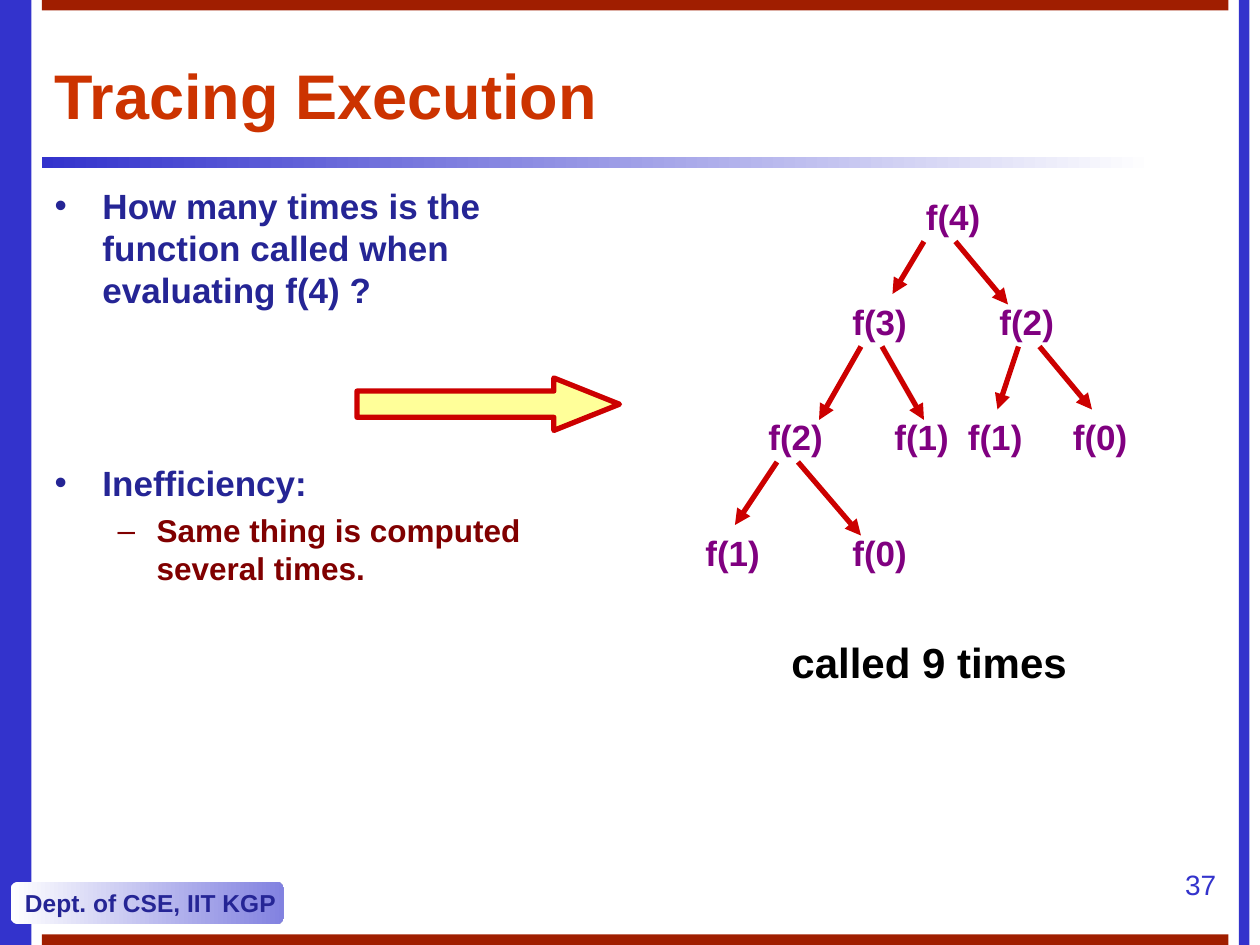
from lxml import etree
from pptx import Presentation
from pptx import util as u
from pptx.dml.color import RGBColor
from pptx.enum import shapes as sh, text as tx
from pptx.oxml.ns import qn

COLS, ROWS = 120, 90
CELL = u.Inches(10) / COLS
NAVY, BLUE, RUST, RED = "252595", "3333CC", "A01E00", "CC0000"
PURPLE, MAROON = "800080", "800000"

# A call is (name, column, row, branches); a branch is
# (start column, end column, end row, call): start in the caller, end in the callee.
CALLS = ("f(4)", 21, 0, [
    (1, 5, 0, ("f(3)", 14, 10, [
        (2, 6, 1, ("f(2)", 6, 21, [
            (2, 4, 0, ("f(1)", 0, 32, [])),
            (4, 2, 1, ("f(0)", 14, 32, []))])),
        (4, 4, 1, ("f(1)", 18, 21, []))])),
    (4, 2, 1, ("f(2)", 28, 10, [
        (3, 4, 0, ("f(1)", 25, 21, [])),
        (5, 3, 0, ("f(0)", 35, 21, []))])),
])


def rgb(code):
    return RGBColor.from_string(code)


def grid(*cells):
    """Turn grid columns and rows into lengths."""
    return [u.Emu(round(c * CELL)) for c in cells]


def write(para, words, size, color, bold=True):
    run = para.add_run()
    run.text = words
    font = run.font
    font.name, font.size, font.bold = "Arial", u.Pt(size), bold
    font.color.rgb = rgb(color)


def label(slide, box, words, size, color, bold=True, align=None):
    frame = slide.shapes.add_textbox(*grid(*box)).text_frame
    frame.word_wrap = True
    para = frame.paragraphs[0]
    para.alignment = align
    write(para, words, size, color, bold)


def block(slide, box, *colors, kind=sh.MSO_SHAPE.RECTANGLE):
    """Add a borderless shape; two colours make a left-to-right gradient."""
    shape = slide.shapes.add_shape(kind, *grid(*box))
    shape.shadow.inherit = False
    shape.line.fill.background()
    if len(colors) == 1:
        shape.fill.solid()
        shape.fill.fore_color.rgb = rgb(colors[0])
    else:
        shape.fill.gradient()
        shape.fill.gradient_angle = 0
        for stop, color in zip(shape.fill.gradient_stops, colors):
            stop.color.rgb = rgb(color)
    return shape


def border(slide, box):
    left, top, wide, high = box
    block(slide, (left, top, 3, high), BLUE)
    block(slide, (left + wide - 2, top, 1, high), BLUE)
    for row in (top, top + high - 1):
        block(slide, (left + 4, row, wide - 7, 1), RUST)
    block(slide, (left + 4, top + 15, 106, 1), BLUE, "FFFFFF")


def badge(slide, box):
    shape = block(slide, box, "FFFFFF", "8282E0",
                  kind=sh.MSO_SHAPE.ROUNDED_RECTANGLE)
    shape.adjustments[0] = 0.167
    frame = shape.text_frame
    frame.word_wrap = False
    frame.vertical_anchor = tx.MSO_ANCHOR.MIDDLE
    para = frame.paragraphs[0]
    para.alignment = tx.PP_ALIGN.LEFT
    write(para, "Dept. of CSE, IIT KGP", 14, NAVY)


def settle(holder, box, anchor):
    """Move a placeholder to its box and return its text frame."""
    holder.left, holder.top, holder.width, holder.height = grid(*box)
    frame = holder.text_frame
    frame.auto_size = tx.MSO_AUTO_SIZE.NONE
    frame.vertical_anchor = anchor
    return frame


def title(slide, box):
    para = settle(slide.shapes.title, box, tx.MSO_ANCHOR.MIDDLE).paragraphs[0]
    para.alignment = tx.PP_ALIGN.LEFT
    write(para, "Tracing Execution", 36, "CC3300")


def bullet(para, mark, color, left, hang):
    props = para._p.get_or_add_pPr()
    props.set("marL", str(u.Inches(left)))
    props.set("indent", str(-u.Inches(hang)))
    tint = etree.SubElement(props, qn("a:buClr"))
    etree.SubElement(tint, qn("a:srgbClr"), val=color)
    etree.SubElement(props, qn("a:buFont"), typeface="Arial")
    etree.SubElement(props, qn("a:buChar"), char=mark)


def points(slide, box):
    frame = settle(slide.placeholders[1], box, tx.MSO_ANCHOR.TOP)
    items = [
        (0, 0, "How many times is the function called when evaluating f(4) ?"),
        (0, 86, "Inefficiency:"),
        (1, 4.5, "Same thing is computed several times."),
    ]
    looks = [("•", NAVY, 0.38, 0.38, 20), ("–", MAROON, 0.81, 0.31, 18)]
    for i, (level, gap, words) in enumerate(items):
        para = frame.add_paragraph() if i else frame.paragraphs[0]
        mark, color, left, hang, size = looks[level]
        para.level = level
        para.space_before = u.Pt(gap)
        bullet(para, mark, color, left, hang)
        write(para, words, size, color)


def arrow(slide, start, end):
    link = slide.shapes.add_connector(
        sh.MSO_CONNECTOR.STRAIGHT, *grid(*start, *end))
    link.line.color.rgb = rgb(RED)
    link.line.width = u.Pt(3)
    etree.SubElement(link.line._get_or_add_ln(), qn("a:tailEnd"), type="triangle")
    etree.SubElement(link._element.spPr, qn("a:effectLst"))


def tree(slide, left, top, call):
    """Draw a call and, below it, the calls it makes."""
    name, col, row, kids = call
    x, y = left + col, top + row
    label(slide, (x, y, 9, 5.25), name, 20, PURPLE)
    for start, end, drop, kid in kids:
        arrow(slide, (x + start, y + 5),
              (left + kid[1] + end, top + kid[2] + drop))
        tree(slide, left, top, kid)


def pointer(slide, box):
    shape = block(slide, box, "FFFF99", kind=sh.MSO_SHAPE.RIGHT_ARROW)
    shape.adjustments[0], shape.adjustments[1] = 0.5, 1.25
    shape.line.color.rgb = rgb(RED)
    shape.line.width = u.Pt(3)


def main():
    deck = Presentation()
    deck.slide_width, deck.slide_height = grid(COLS, ROWS)
    slide = deck.slides.add_slide(deck.slide_layouts[1])
    border(slide, (0, 0, COLS, ROWS))
    badge(slide, (1, 84, 26, 4))
    label(slide, (110, 82, 7, 6), "37", 16, BLUE, False, tx.PP_ALIGN.RIGHT)
    title(slide, (4, 4, 113, 10))
    points(slide, (4, 17, 55.5, 64))
    tree(slide, 66, 18, CALLS)
    pointer(slide, (34, 36, 25, 5))
    label(slide, (74.2, 60, 30, 6), "called 9 times", 24, "000000")
    deck.save("out.pptx")


if __name__ == "__main__":
    main()
